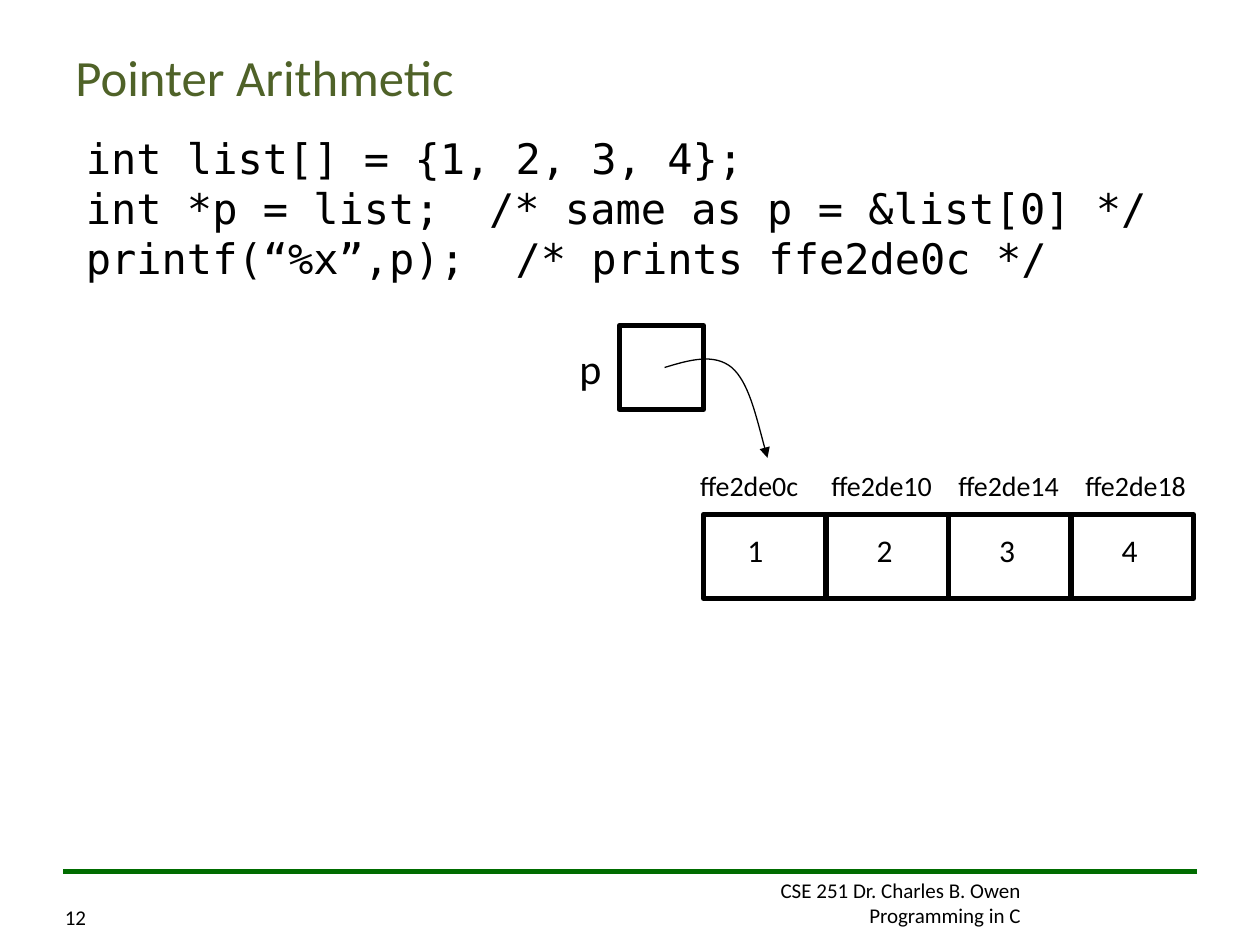
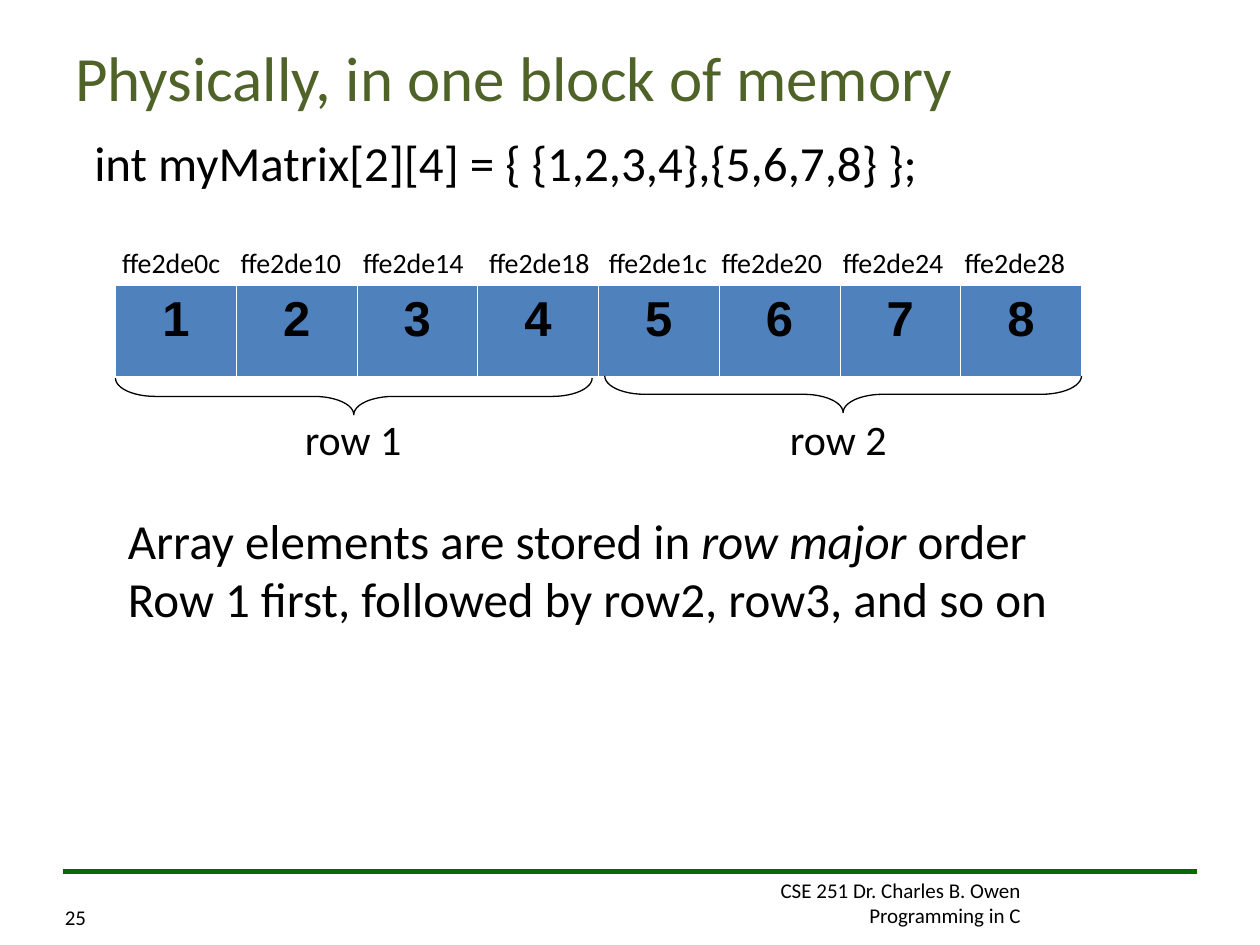
from dataclasses import dataclass
from itertools import chain

from lxml.etree import SubElement
from pptx import Presentation
from pptx.dml.color import RGBColor
from pptx.enum.shapes import MSO_CONNECTOR, MSO_SHAPE
from pptx.enum.text import MSO_ANCHOR as ANCHOR, PP_ALIGN as ALIGN
from pptx.oxml.ns import qn
from pptx.util import Emu, Inches, Pt

# Grid: 120 columns by 90 rows, twelve cells to the inch
PER_INCH = 12
COLS, ROWS = 120, 90

BLACK, WHITE = "000000", "FFFFFF"
TITLE_GREEN, RULE_GREEN, CELL_BLUE = "4F6228", "006C00", "4F81BD"
BODY, CODE, CELL = "Calibri", "DejaVu Sans Mono", "Arial"


@dataclass(frozen=True)
class Box:
    left: float
    top: float
    width: float
    height: float

    def emu(self) -> tuple:
        return tuple(map(cells, (self.left, self.top, self.width, self.height)))


@dataclass(frozen=True)
class Style:
    size: float
    font: str = BODY
    color: str = BLACK
    bold: bool = False

    def formats(self) -> dict:
        return {"size": Pt(self.size), "name": self.font, "bold": self.bold}


@dataclass(frozen=True)
class Label:
    text: str
    left: float
    width: float = 12


TITLE_BOX = Box(6, 3.6, 108, 7.4)
FOOTER_BOX = Box(58, 83, 40.4, 6)
NUMBER_BOX = Box(5, 83, 4.8, 6.1)
FOOTER = ["CSE 251 Dr. Charles B. Owen", "Programming in C"]
SMALL, ADDRESS, VALUE = Style(12), Style(16), Style(18)
LARGE, STATEMENT = Style(24), Style(28)


def cells(n: float) -> Emu:
    return Inches(n / PER_INCH)


def rgb(color: str) -> RGBColor:
    return RGBColor.from_string(color)


def write_run(p, text: str, style: Style, italic: bool = False) -> None:
    r = p.add_run()
    r.text = text
    for name, value in {**style.formats(), "italic": italic}.items():
        setattr(r.font, name, value)
    r.font.color.rgb = rgb(style.color)


def add_text(slide, box: Box, lines: list, style: Style, wrap: bool = True,
             align=ALIGN.LEFT, anchor=ANCHOR.TOP, before: float = 0) -> None:
    """Each line is a string or a list of runs; odd runs are italic."""
    tf = slide.shapes.add_textbox(*box.emu()).text_frame
    for name, value in {"word_wrap": wrap, "vertical_anchor": anchor}.items():
        setattr(tf, name, value)
    for i, line in enumerate(lines):
        p = tf.add_paragraph() if i else tf.paragraphs[0]
        p.alignment = align
        p.space_before = Pt(before)
        for j, text in enumerate([line] if isinstance(line, str) else line):
            write_run(p, text, style, italic=j % 2 == 1)


def outline(sp, width: float) -> None:
    sp.shadow.inherit = False
    sp.fill.background()
    sp.line.color.rgb = rgb(BLACK)
    sp.line.width = Pt(width)


def add_square(slide, box: Box) -> None:
    outline(slide.shapes.add_shape(MSO_SHAPE.RECTANGLE, *box.emu()), 3)


def add_labels(slide, labels: list[Label], top: float) -> None:
    for label in labels:
        add_text(slide, Box(label.left, top, label.width, 4.4), [label.text],
                 ADDRESS, wrap=False)


def add_curved_arrow(slide, points: list[tuple]) -> None:
    """Draw Bezier curves: a start, then three control points per curve."""
    start, *rest = [(cells(x), cells(y)) for x, y in points]
    builder = slide.shapes.build_freeform(*start, scale=1.0)
    builder.add_line_segments(rest, close=False)
    sp = builder.convert_to_shape()
    outline(sp, 0.75)
    track = next(sp._element.iter(qn("a:path")))
    segments = track.findall(qn("a:lnTo"))
    for i in range(0, len(segments), 3):
        curve = SubElement(track, qn("a:cubicBezTo"))
        for segment in segments[i:i + 3]:
            curve.append(segment[0])
            track.remove(segment)
    SubElement(sp.line._get_or_add_ln(), qn("a:tailEnd"), type="triangle")


def add_brace(slide, center_x: float, center_y: float) -> None:
    """A brace under half of the memory block, its tip pointing down."""
    depth, span = 3.5, 45.4
    box = Box(center_x - depth / 2, center_y - span / 2, depth, span)
    sp = slide.shapes.add_shape(MSO_SHAPE.LEFT_BRACE, *box.emu())
    sp.rotation = 270
    sp.adjustments[0] = 1.08
    outline(sp, 0.75)


def set_borders(cell) -> None:
    tc_pr = cell._tc.get_or_add_tcPr()
    widths = {"a:lnL": 0.45, "a:lnR": 0.45, "a:lnT": 0.45, "a:lnB": 1.47}
    for i, (tag, width) in enumerate(widths.items()):
        ln = SubElement(tc_pr, qn(tag), w=str(Pt(width)))
        fill = SubElement(ln, qn("a:solidFill"))
        SubElement(fill, qn("a:srgbClr"), val=WHITE)
        tc_pr.insert(i, ln)


def add_memory_block(slide, box: Box, values: list) -> None:
    table = slide.shapes.add_table(1, len(values), *box.emu()).table
    for name in ("first_row", "horz_banding"):
        setattr(table, name, False)
    for i, value in enumerate(values):
        table.columns[i].width = cells(box.width / len(values))
        cell = table.cell(0, i)
        cell.fill.solid()
        cell.fill.fore_color.rgb = rgb(CELL_BLUE)
        set_borders(cell)
        p = cell.text_frame.paragraphs[0]
        p.alignment = ALIGN.CENTER
        write_run(p, str(value), Style(28, CELL, bold=True))


def new_slide(prs, title: str, title_size: float, number: int):
    """Shared frame: footer, green rule, page number and title."""
    slide = prs.slides.add_slide(prs.slide_layouts[6])
    add_text(slide, FOOTER_BOX, FOOTER, SMALL, align=ALIGN.RIGHT)
    rule = slide.shapes.add_connector(
        MSO_CONNECTOR.STRAIGHT, *map(cells, (114, 83, 6, 83)))
    rule.line.color.rgb = rgb(RULE_GREEN)
    rule.line.width = Pt(3)
    SubElement(rule._element.spPr, qn("a:effectLst"))
    add_text(slide, NUMBER_BOX, [str(number)], SMALL, anchor=ANCHOR.BOTTOM)
    add_text(slide, TITLE_BOX, [title], Style(title_size, color=TITLE_GREEN),
             anchor=ANCHOR.MIDDLE)
    return slide


def pointer_slide(prs) -> None:
    slide = new_slide(prs, "Pointer Arithmetic", 29, 12)

    # Pointer variable and code
    add_square(slide, Box(59, 31, 8, 8))
    add_text(slide, Box(54, 32, 4.4, 6), ["p"], LARGE, wrap=False)
    add_text(slide, Box(7, 12, 108, 22.8), [
        "int list[] = {1, 2, 3, 4};",
        "int *p = list;\t /* same as p = &list[0] */",
        "printf(“%x”,p);  /* prints ffe2de0c */",
    ], Style(24, CODE))

    # Array elements
    step = 35 / 3
    for i in range(4):
        add_square(slide, Box(67 + i * step, 49, step, 8))
    add_text(slide, Box(70, 50, 5.9, 4.8), ["1"], VALUE, before=11.2)
    for i in range(1, 4):
        add_text(slide, Box(70.65 + i * step, 50, 3.8, 4.8), [str(i + 1)],
                 VALUE, wrap=False)

    # Addresses and the arrow to the first one
    add_labels(slide, [Label("ffe2de0c", 65.5, 11.8), Label("ffe2de10", 78),
                       Label("ffe2de14", 90.1), Label("ffe2de18", 102.2)], 44)
    add_curved_arrow(slide, [(63.3, 35), (65.6, 34.3), (68, 33.6), (69.7, 35),
                             (71.3, 36.4), (72.1, 40), (73.1, 43.6)])


def memory_slide(prs) -> None:
    slide = new_slide(prs, "Physically, in one block of memory", 36, 25)
    add_text(slide, Box(7.8, 12, 80.9, 6.8),
             ["int myMatrix[2][4] = { {1,2,3,4},{5,6,7,8} };"],
             STATEMENT, wrap=False)

    # Memory block with the address of each cell
    rows = [[1, 2, 3, 4], [5, 6, 7, 8]]
    add_memory_block(slide, Box(11, 27.2, 92, 8.75), list(chain(*rows)))
    add_text(slide, Box(11, 48, 98, 12.5), [
        ["Array elements are stored in ", "row major ", "order"],
        "Row 1 first, followed by row2, row3, and so on",
    ], STATEMENT)
    add_labels(slide, [
        Label("ffe2de0c", 10.45, 11.8), Label("ffe2de10", 21.75),
        Label("ffe2de14", 33.4), Label("ffe2de18", 45.4),
        Label("ffe2de1c", 56.8, 11.8), Label("ffe2de20", 67.55),
        Label("ffe2de24", 79.1), Label("ffe2de28", 90.7)], 22.8)

    # Matrix rows
    for center_x, center_y in ((33.7, 37.75), (80.3, 37.55)):
        add_brace(slide, center_x, center_y)
    for i in range(len(rows)):
        add_text(slide, Box(27.85 + i * 46.2, 38.75, 15.25, 6),
                 [f"row {i + 1}"], LARGE)


def main() -> None:
    prs = Presentation()
    prs.slide_width, prs.slide_height = cells(COLS), cells(ROWS)
    pointer_slide(prs)
    memory_slide(prs)
    prs.save("out.pptx")


if __name__ == "__main__":
    main()
